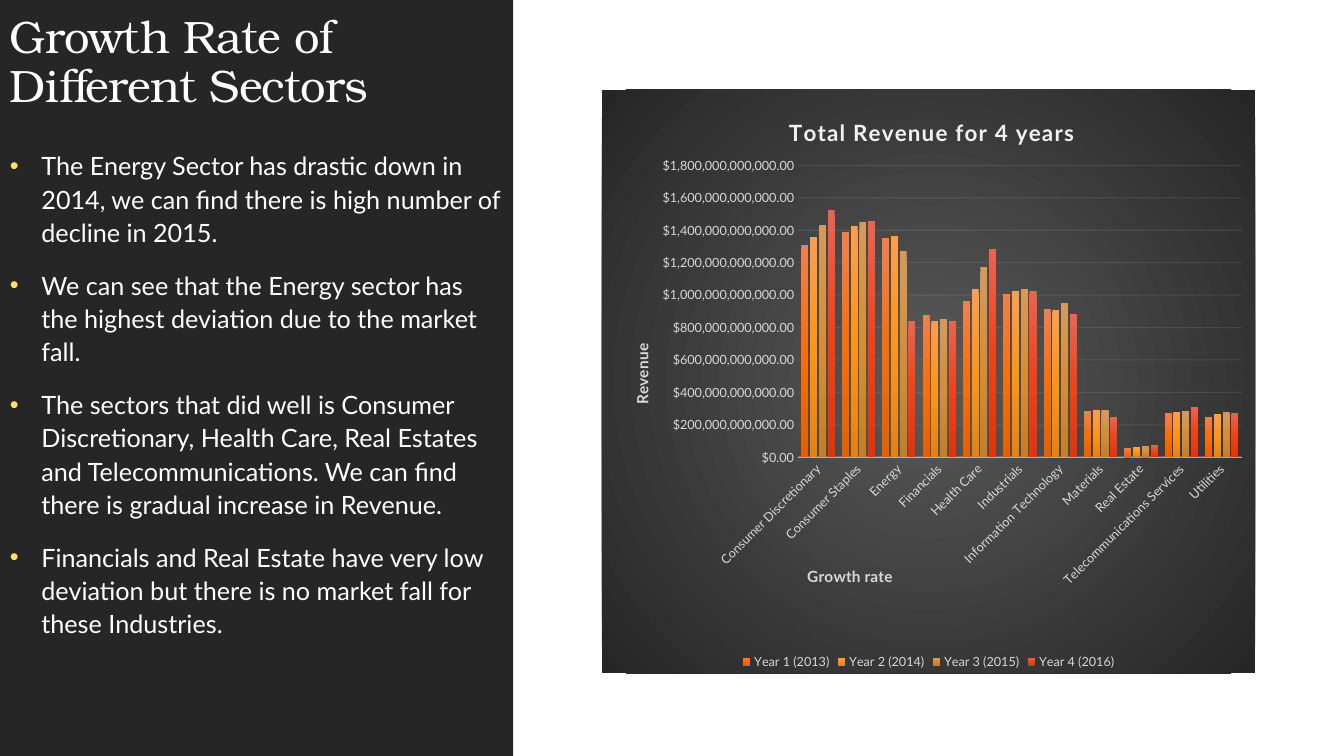
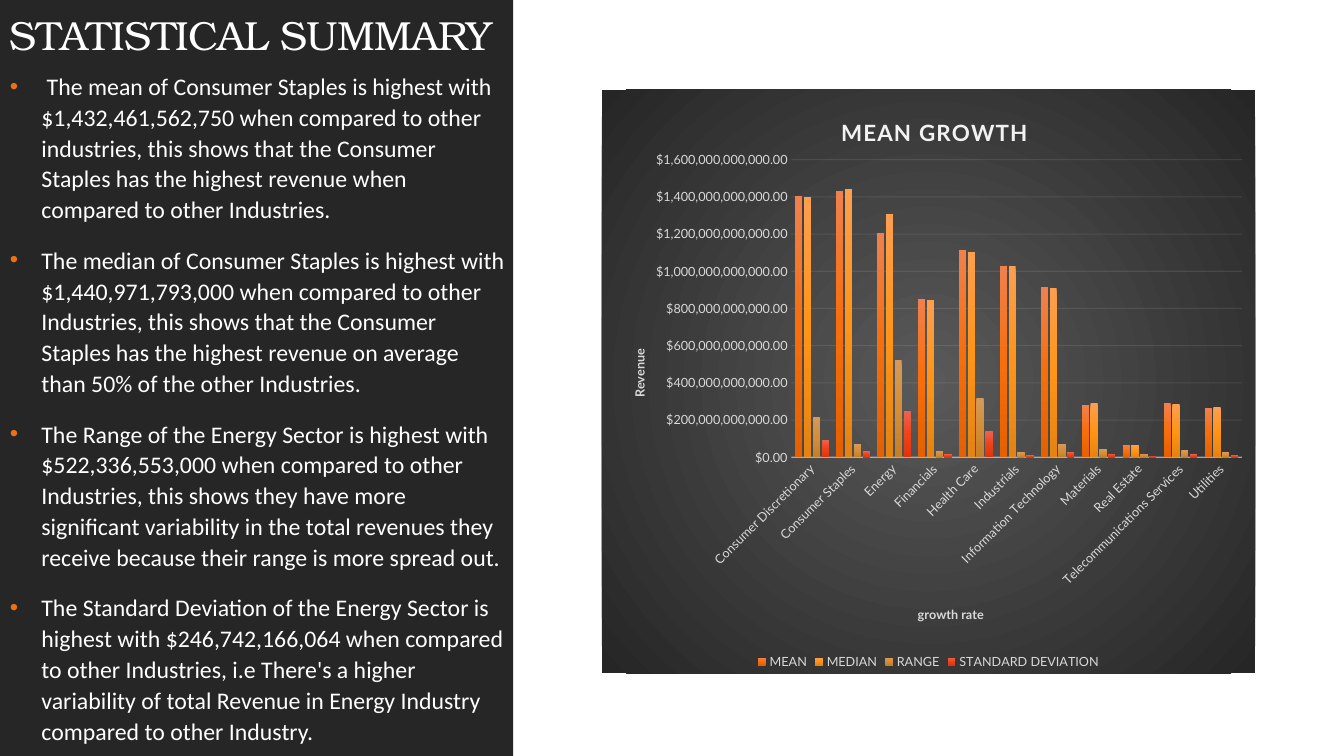
"""Two slides on sector revenue: a dark text panel beside a column chart."""
from lxml import etree
from pptx import Presentation
from pptx.chart.data import CategoryChartData
from pptx.dml.color import RGBColor
from pptx.enum import chart as ch, shapes, text
from pptx.oxml import parse_xml
from pptx.oxml.ns import nsdecls, qn
from pptx.util import Pt

WHITE = RGBColor(0xFF, 0xFF, 0xFF)
PANEL = RGBColor(0x26, 0x26, 0x26)
PALE = RGBColor(0xF2, 0xF2, 0xF2)
LABEL = RGBColor(0xD9, 0xD9, 0xD9)
CHART_MID = RGBColor(0x59, 0x59, 0x59)
YELLOW = RGBColor(0xFF, 0xDF, 0x6B)
ORANGE = RGBColor(0xEC, 0x70, 0x16)
SERIES_COLORS = [
    [RGBColor.from_string(c) for c in row.split()]
    for row in ("F0814D F76E0B E56000", "FC9F4F FF9416 E58311",
                "D49A5D D58E37 C57F29", "EB6451 F04219 E0340C")
]
TITLE_FONT = "TeX Gyre Bonum"
CHART_FONT = "Lato"
PANEL_WIDTH = 366.5
TEXT_WIDTH = 368
CHART_BOX = (430, 64, 466.5, 417)
BILLION = 1_000_000_000

SECTORS = ["Consumer Discretionary", "Consumer Staples", "Energy", "Financials",
           "Health Care", "Industrials", "Information Technology", "Materials",
           "Real Estate", "Telecommunications Services", "Utilities"]

GROWTH = {
    "title": "Growth Rate of Different Sectors",
    "title_box": (0, 0.7, TEXT_WIDTH, 83), "title_size": 32.4,
    "body_box": (0, 102, TEXT_WIDTH, 436),
    "font": "Lato", "size": 18, "spacing": 1.1, "bullet": YELLOW,
    "points": [
        "The Energy Sector has drastic down in 2014, we can find there is high number of decline in 2015.",
        "We can see that the Energy sector has the highest deviation due to the market fall.",
        "The sectors that did well is Consumer Discretionary, Health Care, Real Estates and "
        "Telecommunications. We can find there is gradual increase in Revenue.",
        "Financials and Real Estate have very low deviation but there is no market fall for these Industries.",
    ],
    "chart": {
        "title": "Total Revenue for 4 years", "title_at": (0.28, 0.04),
        "x_title": "Growth rate", "x_at": (0.31, 0.81),
        "y_title": "Revenue", "y_at": (0.04, 0.43), "axis_size": 11,
        "plot_at": (0.3, 0.13, 0.68, 0.5), "maximum": 1800,
        "series": {
            "Year 1 (2013)": [1308, 1389, 1351, 878, 965, 1009, 915, 286, 55, 274, 249],
            "Year 2 (2014)": [1358, 1426, 1364, 841, 1040, 1028, 909, 293, 62, 280, 268],
            "Year 3 (2015)": [1432, 1451, 1270, 853, 1171, 1040, 953, 293, 70, 286, 280],
            "Year 4 (2016)": [1526, 1457, 841, 841, 1283, 1028, 884, 249, 75, 311, 274],
        },
    },
}

SUMMARY = {
    "title": "STATISTICAL SUMMARY",
    "title_box": (0, 0, TEXT_WIDTH, 46), "title_size": 29,
    "body_box": (0, 46, TEXT_WIDTH, 494),
    "font": "Calibri", "size": 17, "spacing": 1.08, "bullet": ORANGE,
    "points": [
        " The mean of Consumer Staples is highest with $1,432,461,562,750 when compared to other "
        "industries, this shows that the Consumer Staples has the highest revenue when compared to "
        "other Industries.",
        "The median of Consumer Staples is highest with $1,440,971,793,000 when compared to other "
        "Industries, this shows that the Consumer Staples has the highest revenue on average than "
        "50% of the other Industries.",
        "The Range of the Energy Sector is highest with $522,336,553,000 when compared to other "
        "Industries, this shows they have more significant variability in the total revenues they "
        "receive because their range is more spread out.",
        "The Standard Deviation of the Energy Sector is highest with $246,742,166,064 when compared "
        "to other Industries, i.e There's a higher variability of total Revenue in Energy Industry "
        "compared to other Industry.",
    ],
    "chart": {
        "title": "MEAN GROWTH", "title_at": (0.36, 0.04),
        "x_title": "growth rate", "x_at": (0.48, 0.88),
        "y_title": "Revenue", "y_at": (0.04, 0.44), "axis_size": 9,
        "plot_at": (0.29, 0.12, 0.69, 0.51), "maximum": 1600,
        "series": {
            "MEAN": [1406, 1432, 1207, 853, 1115, 1027, 914, 280, 65, 289, 267],
            "MEDIAN": [1397, 1441, 1308, 848, 1104, 1028, 912, 290, 66, 284, 268],
            "RANGE": [218, 70, 522, 35, 320, 27, 74, 44, 20, 37, 27],
            "STANDARD DEVIATION": [94, 32, 247, 17, 141, 11, 30, 20, 9, 16, 12],
        },
    },
}


def style(font, name, size, color, bold=False):
    """Set the face, size, colour and weight of a font."""
    font.name, font.size, font.bold = name, Pt(size), bold
    font.color.rgb = color


def track(r, points):
    """Set the letter spacing of a run."""
    r._r.get_or_add_rPr().set("spc", str(round(points * 100)))


def gradient(colors, direction):
    """Return a gradient fill with evenly spaced stops."""
    step = 100000 // (len(colors) - 1)
    stops = "".join(f'<a:gs pos="{i * step}"><a:srgbClr val="{c}"/></a:gs>'
                    for i, c in enumerate(colors))
    return parse_xml(f'<a:gradFill {nsdecls("a")} rotWithShape="1"><a:gsLst>{stops}</a:gsLst>'
                     f'{direction}</a:gradFill>')


def fade_line(line, color, width, percent):
    """Give a line a colour, a width and an opacity."""
    line.color.rgb, line.width = color, Pt(width)
    clr = line._ln.find(".//" + qn("a:srgbClr"))
    etree.SubElement(clr, qn("a:alpha")).set("val", str(percent * 1000))


def place(el, index, fractions, inner=False):
    """Position a chart part by fractions of the chart box."""
    for old in el.findall(qn("c:layout")):
        el.remove(old)
    layout = parse_xml(f'<c:layout {nsdecls("c")}><c:manualLayout/></c:layout>')
    parts = [("layoutTarget", "inner")] if inner else []
    parts += [("xMode", "edge"), ("yMode", "edge"), *zip("xywh", fractions)]
    for tag, val in parts:
        etree.SubElement(layout[0], qn("c:" + tag)).set("val", str(val))
    el.insert(index, layout)


def add_text(slide, box, paragraphs):
    """Add a wrapping text box and return its text frame."""
    tf = slide.shapes.add_textbox(*map(Pt, box)).text_frame
    tf.word_wrap = True
    tf.text = "\n".join(paragraphs)
    return tf


def add_panel(slide):
    """Add the dark panel behind the text."""
    sp = slide.shapes.add_shape(shapes.MSO_SHAPE.RECTANGLE, 0, 0, Pt(PANEL_WIDTH), Pt(540))
    sp.shadow.inherit = False
    sp.fill.solid()
    sp.fill.fore_color.rgb = PANEL
    sp.line.fill.background()


def add_title(slide, box, title, size):
    """Add the slide title, resting on the bottom of its box."""
    tf = add_text(slide, box, [title])
    tf.vertical_anchor = text.MSO_ANCHOR.BOTTOM
    p = tf.paragraphs[0]
    p.line_spacing = 0.9
    style(p.runs[0].font, TITLE_FONT, size, WHITE)
    track(p.runs[0], -0.5)


def add_bullets(slide, box, content):
    """Add the bulleted findings."""
    for p in add_text(slide, box, content["points"]).paragraphs:
        p.line_spacing = content["spacing"]
        p.space_before, p.space_after = Pt(12), Pt(2)
        pPr = p._p.get_or_add_pPr()
        pPr.set("marL", str(Pt(22.5)))
        pPr.set("indent", str(-Pt(22.5)))
        clr = etree.SubElement(pPr, qn("a:buClr"))
        etree.SubElement(clr, qn("a:srgbClr")).set("val", str(content["bullet"]))
        etree.SubElement(pPr, qn("a:buFont")).set("typeface", "Arial")
        etree.SubElement(pPr, qn("a:buChar")).set("char", "•")
        style(p.runs[0].font, content["font"], content["size"], WHITE)


def set_chart_title(title, caption, at, size, color):
    """Write, style and position a chart or axis title."""
    title.text_frame.text = caption
    r = title.text_frame.paragraphs[0].runs[0]
    style(r.font, CHART_FONT, size, color, bold=True)
    place(title._element, 1, at)
    return r


def style_axes(chart, spec_):
    """Style both axes with their titles and gridlines."""
    cat, val = chart.category_axis, chart.value_axis
    for axis, key in ((cat, "x"), (val, "y")):
        axis.major_tick_mark = axis.minor_tick_mark = ch.XL_TICK_MARK.NONE
        style(axis.tick_labels.font, CHART_FONT, 9, LABEL)
        set_chart_title(axis.axis_title, spec_[key + "_title"], spec_[key + "_at"],
                        spec_["axis_size"], LABEL)
    body = val.axis_title.text_frame._txBody.bodyPr
    body.set("rot", "-5400000")
    body.set("vert", "horz")
    cat._element.txPr.bodyPr.set("rot", "-2700000")
    fade_line(cat.format.line, PALE, 1, 54)
    val.format.line.fill.background()
    fade_line(val.major_gridlines.format.line, PALE, 0.75, 10)
    val.minimum_scale, val.maximum_scale = 0, spec_["maximum"] * BILLION
    val.major_unit = 200 * BILLION
    val.tick_labels.number_format = '"$"#,##0.00'
    val.tick_labels.number_format_is_linked = False


def add_sector_chart(slide, box, content):
    """Add the clustered columns by sector on a radial dark ground."""
    data = CategoryChartData(number_format='"$"#,##0.00')
    data.categories = SECTORS
    for name, values in content["series"].items():
        data.add_series(name, [v * BILLION for v in values])
    chart = slide.shapes.add_chart(ch.XL_CHART_TYPE.COLUMN_CLUSTERED,
                                   *map(Pt, box), data).chart
    style(chart.font, CHART_FONT, 10, LABEL)
    ground = parse_xml(f'<c:spPr {nsdecls("c", "a")}><a:ln><a:noFill/></a:ln></c:spPr>')
    ground.insert(0, gradient([CHART_MID, PANEL],
                              '<a:path path="circle"><a:fillToRect l="50000" t="50000" '
                              'r="50000" b="50000"/></a:path>'))
    chart._chartSpace.chart.addnext(ground)

    chart.has_title = True
    track(set_chart_title(chart.chart_title, content["title"], content["title_at"], 16, PALE), 1)
    chart.has_legend = True
    chart.legend.position = ch.XL_LEGEND_POSITION.BOTTOM
    chart.legend.include_in_layout = False
    style(chart.legend.font, CHART_FONT, 9, LABEL)
    style_axes(chart, content)

    plot = chart.plots[0]
    plot.gap_width, plot.overlap, plot.vary_by_categories = 100, -24, False
    for series, colors in zip(plot.series, SERIES_COLORS):
        series._element.get_or_add_spPr().insert(
            0, gradient(colors, '<a:lin ang="5400000" scaled="0"/>'))
    place(chart._chartSpace.chart.plotArea, 0, content["plot_at"], inner=True)


def add_sector_slide(prs, content):
    """Add one slide with its panel, text and chart."""
    slide = prs.slides.add_slide(prs.slide_layouts[6])
    add_panel(slide)
    add_title(slide, content["title_box"], content["title"], content["title_size"])
    add_bullets(slide, content["body_box"], content)
    add_sector_chart(slide, CHART_BOX, content["chart"])


def main():
    """Build and save the presentation."""
    prs = Presentation()
    prs.slide_width, prs.slide_height = Pt(960), Pt(540)
    for content in (GROWTH, SUMMARY):
        add_sector_slide(prs, content)
    prs.save("out.pptx")


if __name__ == "__main__":
    main()
